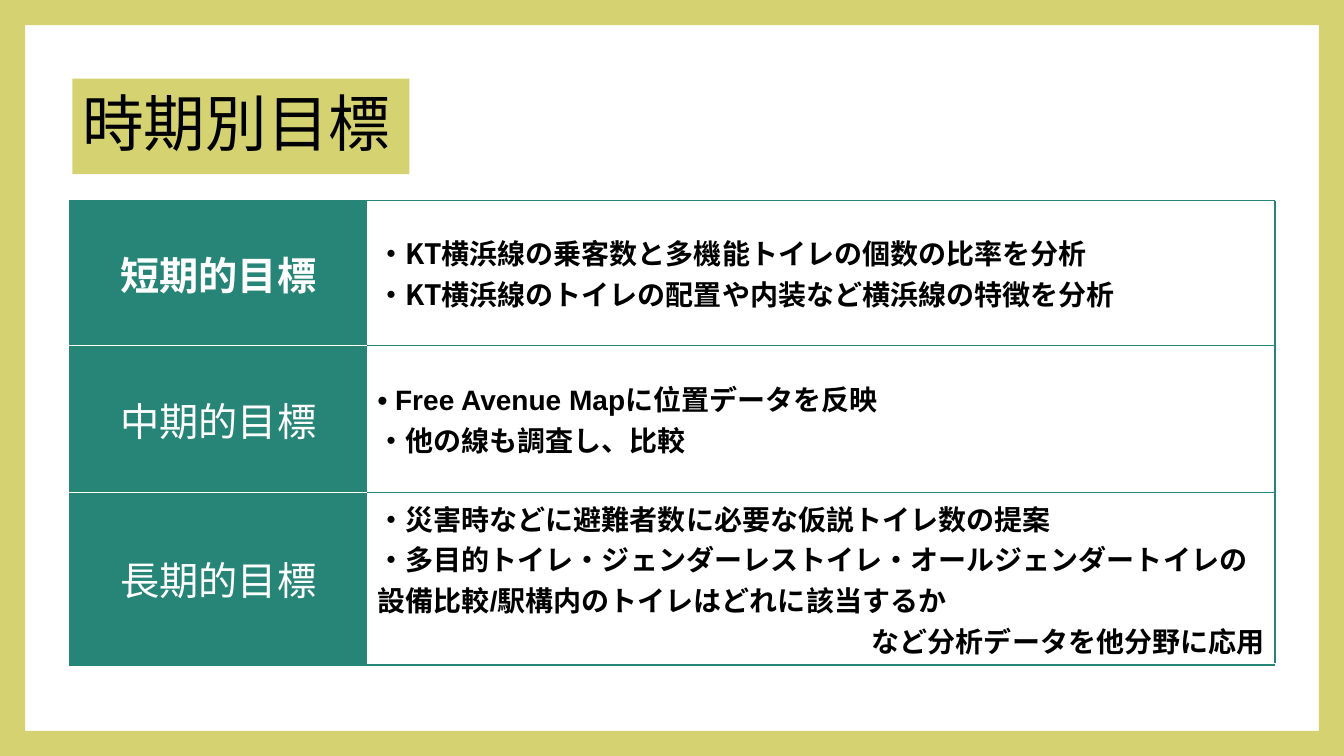
from lxml.etree import SubElement
from pptx import Presentation
from pptx.dml.color import RGBColor
from pptx.enum.shapes import MSO_CONNECTOR as Link, MSO_SHAPE as Shape
from pptx.enum.text import MSO_ANCHOR as Anchor, PP_ALIGN as Align
from pptx.oxml.ns import qn
from pptx.util import Pt

PX = 9525
WIDTH, HEIGHT = 1280, 720
OLIVE = RGBColor(0xD5, 0xD3, 0x71)
TEAL = RGBColor(0x27, 0x85, 0x77)
WHITE = RGBColor(0xFF, 0xFF, 0xFF)
BLACK = RGBColor(0, 0, 0)
SANS, ARIAL = "Noto Sans CJK JP", "Arial"

COLS = (284, 864)
# label, label is bold, body font, height, body lines with their alignment
GOALS = [
    ("短期的目標", True, SANS, 138, [
        ("・KT横浜線の乗客数と多機能トイレの個数の比率を分析", Align.LEFT),
        ("・KT横浜線のトイレの配置や内装など横浜線の特徴を分析", Align.LEFT)]),
    ("中期的目標", False, ARIAL, 140, [
        ("• Free Avenue Mapに位置データを反映", Align.LEFT),
        ("•他の線も調査し、比較", Align.LEFT)]),
    ("長期的目標", False, ARIAL, 162, [
        ("•災害時などに避難者数に必要な仮説トイレ数の提案", Align.LEFT),
        ("•多目的トイレ•ジェンダーレストイレ•オールジェンダートイレの設備"
         "比較/駅構内のトイレはどれに該当するか", Align.LEFT),
        ("など分析データを他分野に応用", Align.RIGHT)]),
]


def box(*sides):
    return [side * PX for side in sides]


def write(frame, lines, size, color, face, bold=False):
    """Fill a text frame with (text, alignment) lines in one style."""
    frame.word_wrap = True
    for i, (text, align) in enumerate(lines):
        para = frame.paragraphs[0] if i == 0 else frame.add_paragraph()
        para.text, para.alignment = text, align
        font = para.font
        font.size, font.bold, font.name = Pt(size), bold, face
        font.color.rgb = color
        style = para._p.pPr.find(qn("a:defRPr"))
        SubElement(style, qn("a:ea")).set("typeface", SANS)


def paint(shape, color):
    shape.shadow.inherit = False
    shape.fill.solid()
    shape.fill.fore_color.rgb = color
    shape.line.fill.background()


def edge(cell, borders):
    """Draw the (tag, color, points) borders of a cell; no color means none."""
    props = cell._tc.get_or_add_tcPr()
    for i, (tag, color, width) in enumerate(borders):
        line = props.makeelement(qn("a:" + tag), {"w": str(Pt(width))})
        props.insert(i, line)
        if color is None:
            SubElement(line, qn("a:noFill"))
        else:
            fill = SubElement(line, qn("a:solidFill"))
            SubElement(fill, qn("a:srgbClr")).set("val", str(color))


def add_title(slide, x, y, w, h):
    title = slide.shapes.add_shape(Shape.RECTANGLE, *box(x, y, w, h))
    paint(title, OLIVE)
    frame = title.text_frame
    frame.vertical_anchor = Anchor.MIDDLE
    write(frame, [("時期別目標", Align.LEFT)], 44, BLACK, SANS)
    frame.paragraphs[0].line_spacing = 0.9


def fill_cell(cell, lines, size, color, face, bold, back, top, bottom):
    cell.fill.solid()
    cell.fill.fore_color.rgb = back
    cell.vertical_anchor = Anchor.MIDDLE
    write(cell.text_frame, lines, size, color, face, bold)
    edge(cell, [("lnL", None, 0), ("lnR", None, 0),
                ("lnT", *top), ("lnB", *bottom)])


def add_goals(slide, x, y):
    w, h = sum(COLS), sum(goal[3] for goal in GOALS)
    grid = slide.shapes.add_table(len(GOALS), len(COLS), *box(x, y, w, h)).table
    grid.first_row = grid.horz_banding = False
    for col, width in zip(grid.columns, COLS):
        col.width = width * PX
    rule, gap = (TEAL, 1.5), (WHITE, 1)
    last = len(GOALS) - 1
    for i, (label, bold, face, height, lines) in enumerate(GOALS):
        grid.rows[i].height = height * PX
        fill_cell(grid.cell(i, 0), [(label, Align.CENTER)], 28, WHITE, SANS, bold,
                  TEAL, gap if i else rule, gap if i < last else rule)
        fill_cell(grid.cell(i, 1), lines, 20, BLACK, face, True, WHITE, rule, rule)
    side = slide.shapes.add_connector(Link.STRAIGHT, *box(x + w, y, x + w, y + h))
    side.line.color.rgb, side.line.width = TEAL, Pt(1.5)
    SubElement(side._element.spPr, qn("a:effectLst"))


def add_frame(slide, x, y, w, h):
    frame = slide.shapes.add_shape(Shape.FRAME, *box(x, y, w, h))
    frame.adjustments[0] = 24 / h
    paint(frame, OLIVE)


def main():
    deck = Presentation()
    deck.slide_width, deck.slide_height = box(WIDTH, HEIGHT)
    slide = deck.slides.add_slide(deck.slide_layouts[6])
    add_title(slide, 69, 75, 321, 91)
    add_goals(slide, 66, 191)
    add_frame(slide, 0, 0, WIDTH, HEIGHT)
    deck.save("out.pptx")


if __name__ == "__main__":
    main()
